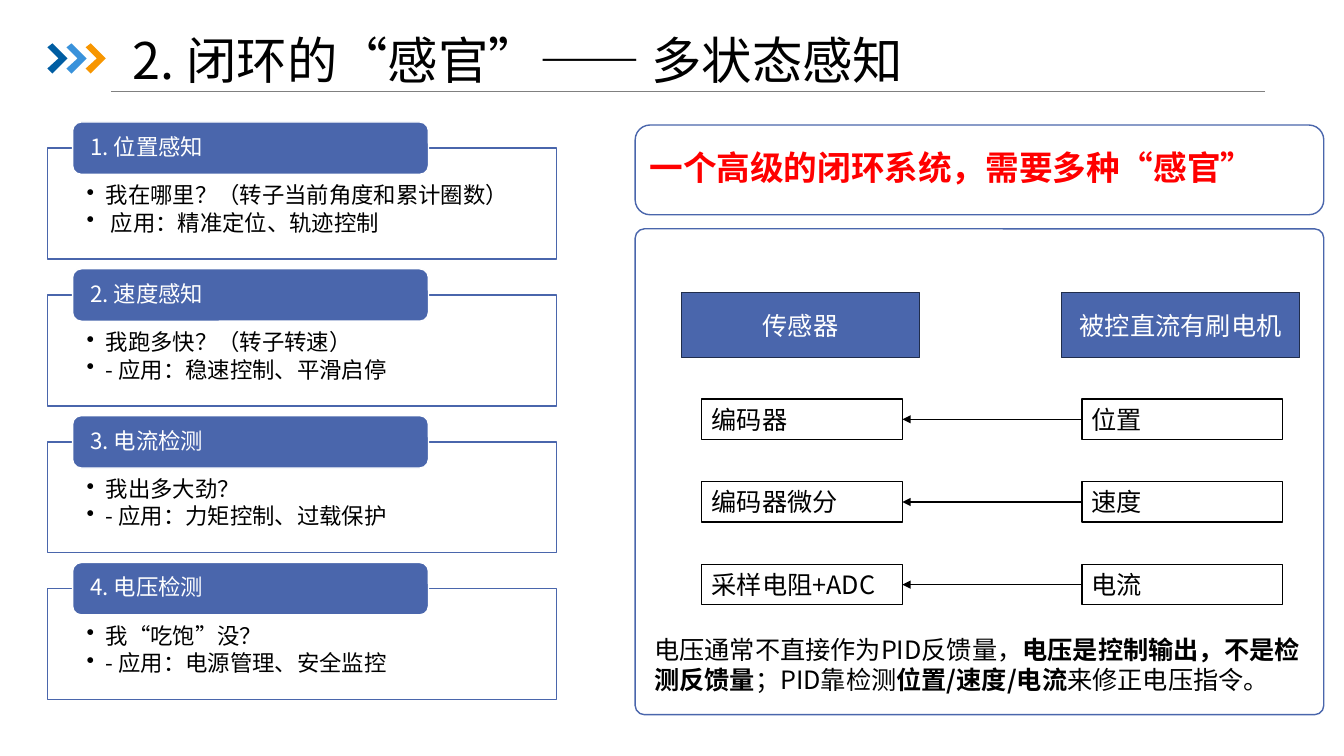
from lxml import etree
from pptx import Presentation
from pptx.dml.color import RGBColor
from pptx.enum.shapes import MSO_CONNECTOR, MSO_SHAPE
from pptx.enum.text import MSO_ANCHOR, PP_ALIGN
from pptx.oxml.ns import qn
from pptx.util import Inches, Pt

FONT = "Noto Sans CJK SC"
COLORS = {
    "blue": "4A66AC", "navy": "202D4B", "white": "FFFFFF", "black": "000000",
    "red": "FF0000", "gray": "808080",
    "chevron_dark": "005DA2", "chevron_light": "3992DB", "chevron_orange": "F79600",
}
COLORS = {name: RGBColor.from_string(value) for name, value in COLORS.items()}

deck = Presentation()
deck.slide_width, deck.slide_height = Inches(13.33), Inches(7.5)
page = deck.slides.add_slide(deck.slide_layouts[6])


def add_box(kind, place, fill="white", line=None):
    box = page.shapes.add_shape(kind, *[Inches(value) for value in place])
    box.shadow.inherit = False
    box.fill.solid()
    box.fill.fore_color.rgb = COLORS[fill]
    if line:
        box.line.color.rgb = COLORS[line]
        box.line.width = Pt(1)
    else:
        box.line.fill.background()
    return box


def write(box, lines, size, color="black", anchor=MSO_ANCHOR.TOP, margins=(0.1, 0.05),
          align=PP_ALIGN.LEFT, spacing=None, bold=None, bullets=False):
    frame = box.text_frame
    frame.word_wrap = True
    frame.vertical_anchor = anchor
    frame.margin_left = frame.margin_right = Inches(margins[0])
    frame.margin_top = frame.margin_bottom = Inches(margins[1])
    for index, spans in enumerate(lines):
        para = frame.paragraphs[0] if index == 0 else frame.add_paragraph()
        para.alignment = align
        para.line_spacing = spacing
        if bullets:
            para.space_after = Pt(2.4)
            properties = para._p.get_or_add_pPr()
            properties.set("marL", str(Inches(0.19)))
            properties.set("indent", str(Inches(-0.19)))
            etree.SubElement(properties, qn("a:buChar"), char="•")
        para.font.name = FONT
        para.font.size = Pt(size)
        para.font.color.rgb = COLORS[color]
        para.font.bold = bold
        etree.SubElement(para.font._element, qn("a:ea"), typeface=FONT)
        for text, strong in spans:
            span = para.add_run()
            span.text = text
            if strong:
                span.font.bold = True


title_rule = page.shapes.add_connector(
    MSO_CONNECTOR.STRAIGHT, Inches(1.1), Inches(0.91), Inches(12.55), Inches(0.91))
title_rule.line.color.rgb = COLORS["gray"]
title_rule.line.width = Pt(0.5)
etree.SubElement(title_rule._element.spPr, qn("a:effectLst"))

CHEVRON = [(0, 0.04), (0.05, 0), (0.2, 0.15), (0.05, 0.3), (0, 0.25), (0.11, 0.15)]
for index, color in enumerate(["chevron_dark", "chevron_light", "chevron_orange"]):
    left = 0.47 + 0.19 * index
    points = [(Inches(left + x), Inches(0.43 + y)) for x, y in CHEVRON]
    builder = page.shapes.build_freeform(*points[0])
    builder.add_line_segments(points[1:], close=True)
    chevron = builder.convert_to_shape()
    chevron.shadow.inherit = False
    chevron.fill.solid()
    chevron.fill.fore_color.rgb = COLORS[color]
    chevron.line.fill.background()

title = page.shapes.add_textbox(Inches(1.22), Inches(0.41), Inches(11.51), Inches(0.43))
write(title, [[("2. 闭环的“感官”—— 多状态感知", False)]], 36,
      anchor=MSO_ANCHOR.MIDDLE, spacing=0.9)

SENSES = [
    ("1. 位置感知", "我在哪里？（转子当前角度和累计圈数）", " 应用：精准定位、轨迹控制"),
    ("2. 速度感知", "我跑多快？（转子转速）", "- 应用：稳速控制、平滑启停"),
    ("3. 电流检测", "我出多大劲？", "- 应用：力矩控制、过载保护"),
    ("4. 电压检测", "我“吃饱”没？", "- 应用：电源管理、安全监控"),
]
for index, (heading, question, usage) in enumerate(SENSES):
    top = 1.47 + 4.37 / 3 * index
    card = add_box(MSO_SHAPE.RECTANGLE, (0.47, top, 5.05, 1.1), line="blue")
    write(card, [[(question, False)], [(usage, False)]], 16,
          margins=(0.39, 0.36), spacing=0.9, bullets=True)
    card.text_frame.margin_bottom = Inches(0.12)
    tab = add_box(MSO_SHAPE.ROUNDED_RECTANGLE, (0.72, top - 0.26, 3.53, 0.52), "blue", "white")
    write(tab, [[(heading, False)]], 16, "white", MSO_ANCHOR.MIDDLE, (0.15, 0), spacing=0.9)

panel = add_box(MSO_SHAPE.ROUNDED_RECTANGLE, (6.3, 2.27, 6.83, 4.82), line="blue")
panel.adjustments[0] = 0.019
banner = add_box(MSO_SHAPE.ROUNDED_RECTANGLE, (6.3, 1.24, 6.83, 0.89), line="blue")
write(banner, [[("一个高级的闭环系统，需要多种“感官”", False)]], 24, "red",
      MSO_ANCHOR.MIDDLE, (0.1, 0.03), spacing=0.9, bold=True)

for left, heading in [(6.76, "传感器"), (10.53, "被控直流有刷电机")]:
    header = add_box(MSO_SHAPE.RECTANGLE, (left, 2.9, 2.36, 0.65), "blue", "navy")
    write(header, [[(heading, False)]], 18, "white", MSO_ANCHOR.MIDDLE, align=PP_ALIGN.CENTER)

SIGNALS = [("编码器", "位置"), ("编码器微分", "速度"), ("采样电阻+ADC", "电流")]
for index, names in enumerate(SIGNALS):
    pair = []
    for left, name in zip((6.96, 10.73), names):
        box = add_box(MSO_SHAPE.RECTANGLE, (left, 3.96 + 0.82 * index, 1.99, 0.4), line="black")
        write(box, [[(name, False)]], 18)
        pair.append(box)
    sensor, quantity = pair
    arrow = page.shapes.add_connector(MSO_CONNECTOR.STRAIGHT, 0, 0, 0, 0)
    arrow.begin_connect(quantity, 1)
    arrow.end_connect(sensor, 3)
    arrow.line.color.rgb = COLORS["black"]
    arrow.line.width = Pt(1)
    etree.SubElement(arrow.line._get_or_add_ln(), qn("a:tailEnd"), type="triangle")
    etree.SubElement(arrow._element.spPr, qn("a:effectLst"))

note = page.shapes.add_textbox(Inches(6.39), Inches(6.24), Inches(6.67), Inches(0.71))
write(note, [[
    ("电压通常不直接作为PID反馈量，", False),
    ("电压是控制输出，不是检测反馈量", True),
    ("；PID靠检测", False),
    ("位置/速度/电流", True),
    ("来修正电压指令。", False),
]], 18)

deck.save("out.pptx")
